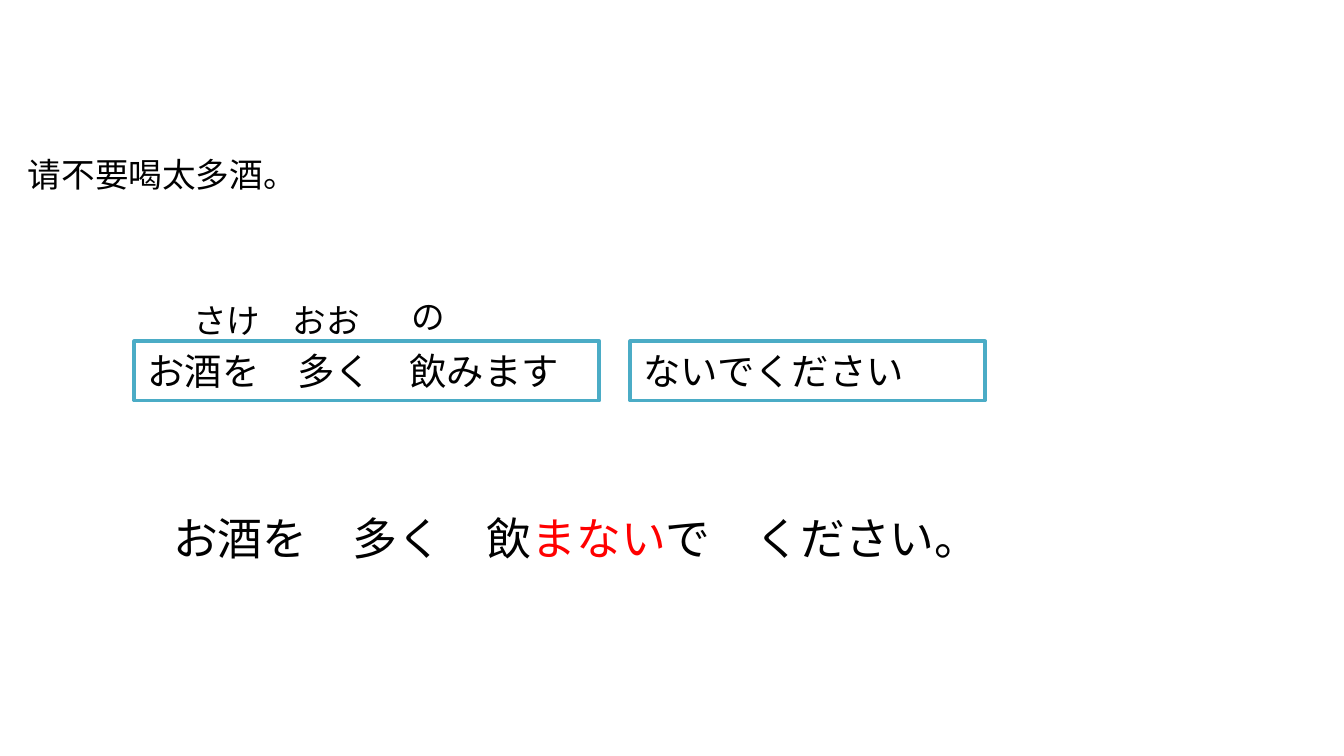
import pptx
import pptx.util
import pptx.dml.color
import pptx.enum.shapes
import pptx.enum.text
import pptx.oxml.ns
from lxml import etree

Inches, Pt = pptx.util.Inches, pptx.util.Pt
RGBColor = pptx.dml.color.RGBColor

BLACK = RGBColor(0, 0, 0)
WHITE = RGBColor(255, 255, 255)
RED = RGBColor(255, 0, 0)
TEAL = RGBColor(0x4B, 0xAC, 0xC6)
CJK, LATIN = "Noto Sans CJK SC", "Calibri"

# Content: places are left, top, width, height in inches
PHRASES = [
    ("お酒を　多く　飲みます", (1, 2.54, 3.46, 0.44)),
    ("ないでください", (4.69, 2.54, 2.64, 0.44)),
]
ANSWER = [("お酒を　多く　飲", BLACK), ("まない", RED), ("で　ください。", BLACK)]
ANSWER_PLACE = (1.19, 3.75, 6.14, 0.5)
READINGS = [
    ("さけ", (1.34, 2.18, 0.86, 0.4)),
    ("おお", (2.08, 2.18, 0.88, 0.4)),
    ("の", (2.96, 2.15, 0.59, 0.4)),
]
PROMPT = ("请不要喝太多酒。", (0.11, 1.1, 2.85, 0.4))


def write(shape, runs, size, font):
    tf = shape.text_frame
    tf.word_wrap = True
    tf.auto_size = pptx.enum.text.MSO_AUTO_SIZE.SHAPE_TO_FIT_TEXT
    p = tf.paragraphs[0]
    p.alignment = pptx.enum.text.PP_ALIGN.LEFT
    p.font.size = Pt(size)
    p.font.name = font
    # East Asian typeface, used for kana and Chinese characters
    props = p.font._element
    etree.SubElement(props, pptx.oxml.ns.qn("a:ea"), typeface=CJK)
    for text, color in runs:
        r = p.add_run()
        r.text = text
        r.font.color.rgb = color


def add_text(s, runs, place, size, font):
    write(s.shapes.add_textbox(*map(Inches, place)), runs, size, font)


def add_phrase(s, text, place):
    sp = s.shapes.add_shape(pptx.enum.shapes.MSO_SHAPE.RECTANGLE, *map(Inches, place))
    sp.shadow.inherit = False
    sp.fill.solid()
    sp.fill.fore_color.rgb = WHITE
    sp.line.color.rgb = TEAL
    sp.line.width = Pt(2)
    write(sp, [(text, BLACK)], 20, CJK)


# Widescreen slide, 16:9
prs = pptx.Presentation()
prs.slide_width = Inches(10)
prs.slide_height = Inches(10 * 9 / 16)
s = prs.slides.add_slide(prs.slide_layouts[6])

# Framed phrases to combine
for text, place in PHRASES:
    add_phrase(s, text, place)

# Combined sentence
add_text(s, ANSWER, ANSWER_PLACE, 24, CJK)

# Readings above the characters
for text, place in READINGS:
    add_text(s, [(text, BLACK)], place, 18, LATIN)

# Sentence to translate
text, place = PROMPT
add_text(s, [(text, BLACK)], place, 18, CJK)

prs.save("out.pptx")
